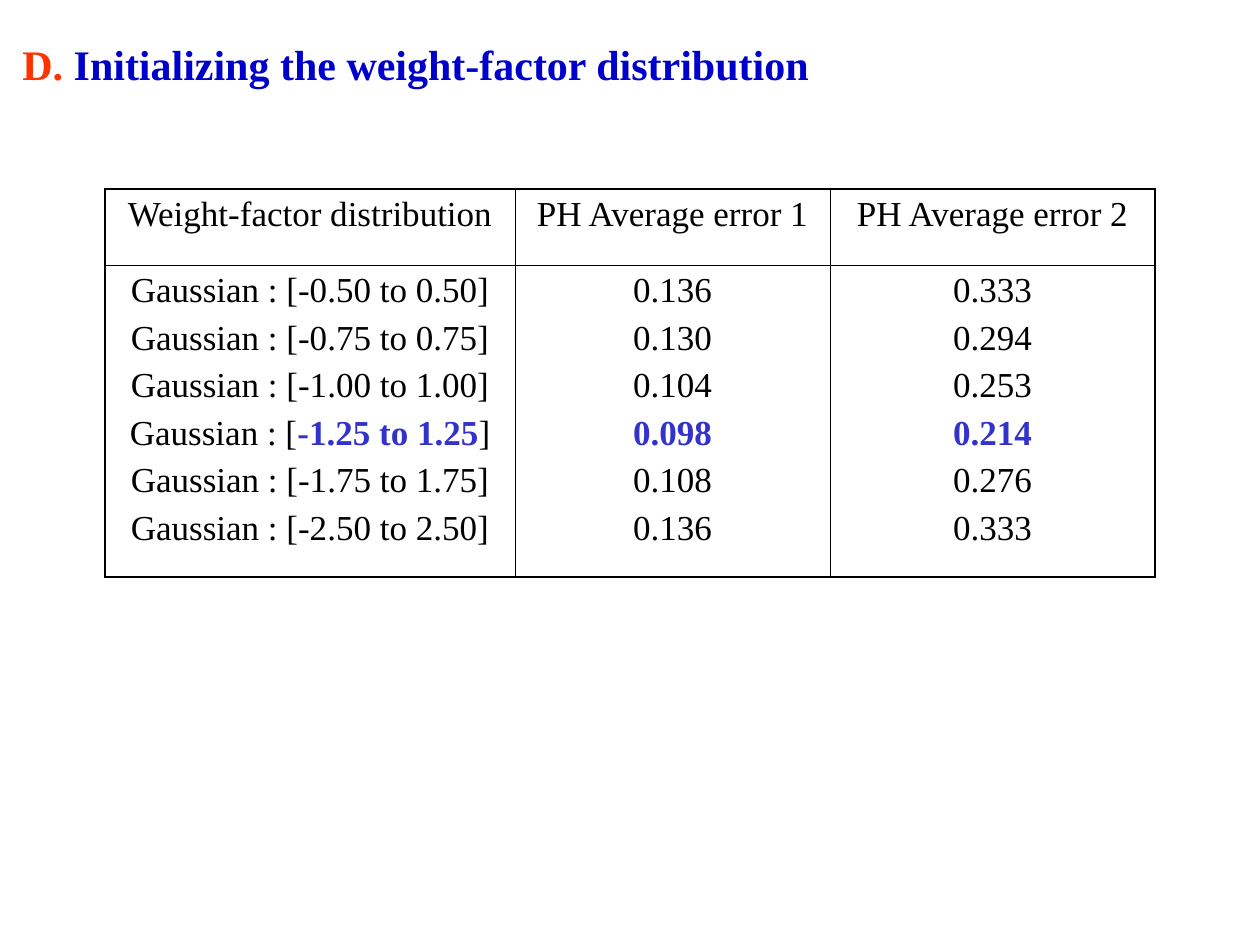
"""Build a slide with a table of errors for each initial weight-factor distribution."""
from dataclasses import dataclass

from lxml import etree
from pptx import Presentation
from pptx import util as u
from pptx.dml.color import RGBColor
from pptx.enum import text
from pptx.oxml import ns


@dataclass(frozen=True)
class Theme:
    font: str = "Times New Roman"
    title_size: int = 24
    body_size: int = 20
    body_gap: int = 5
    letter: str = "FF3300"
    title: str = "0000CC"
    ink: str = "000000"
    best: str = "3333CC"
    outer_line: float = 1.08
    inner_line: float = 0.45


THEME = Theme()
TITLE = [("D.", THEME.letter), (" Initializing the weight-factor distribution", THEME.title)]
HEADERS = ["Weight-factor distribution", "PH Average error 1", "PH Average error 2"]
RESULTS = [
    ("-0.50 to 0.50", "0.136", "0.333"),
    ("-0.75 to 0.75", "0.130", "0.294"),
    ("-1.00 to 1.00", "0.104", "0.253"),
    ("-1.25 to 1.25", "0.098", "0.214"),
    ("-1.75 to 1.75", "0.108", "0.276"),
    ("-2.50 to 2.50", "0.136", "0.333"),
]
BEST = min(RESULTS, key=lambda result: float(result[1]))

SLIDE_SIZE = (1260, 945)
TITLE_BOX = (10, 32, 819, 63)
TABLE_ORIGIN = (105, 189)
COLUMN_WIDTHS = [410, 315, 325]
ROW_HEIGHTS = [76, 312]


def px(length):
    return u.Emu(round(length * 914400 / 126))


def style(font, color, bold=None, size=None):
    font.color.rgb = RGBColor.from_string(color)
    font.bold = bold
    if size:
        font.name, font.size = THEME.font, u.Pt(size)


def add_title(slide):
    frame = slide.shapes.add_textbox(*map(px, TITLE_BOX)).text_frame
    frame.word_wrap = True
    heading = frame.paragraphs[0]
    style(heading.font, THEME.title, True, THEME.title_size)
    for words, color in TITLE:
        run = heading.add_run()
        run.text = words
        style(run.font, color, True)


def fill_cell(cell, lines):
    frame = cell.text_frame
    for index, (parts, is_best) in enumerate(lines):
        line = frame.add_paragraph() if index else frame.paragraphs[0]
        line.alignment = text.PP_ALIGN.CENTER
        line.space_before = u.Pt(THEME.body_gap if index else 0)
        whole = is_best and len(parts) == 1
        style(line.font, THEME.best if whole else THEME.ink, whole, THEME.body_size)
        for position, words in enumerate(parts):
            run = line.add_run()
            run.text = words
            if is_best and position == 1:
                style(run.font, THEME.best, True)


def draw_borders(cell, outer_sides):
    properties = cell._tc.get_or_add_tcPr()
    for side in "LRTB":
        width = THEME.outer_line if side in outer_sides else THEME.inner_line
        border = etree.SubElement(properties, ns.qn(f"a:ln{side}"), w=str(u.Pt(width)))
        fill = etree.SubElement(border, ns.qn("a:solidFill"))
        etree.SubElement(fill, ns.qn("a:srgbClr"), val=THEME.ink)


def result_lines(column):
    for result in RESULTS:
        is_best = result is BEST
        if column:
            parts = [result[column]]
        elif is_best:
            parts = ["Gaussian : [", result[0], "]"]
        else:
            parts = [f"Gaussian : [{result[0]}]"]
        yield parts, is_best


def add_results(slide):
    size = (sum(COLUMN_WIDTHS), sum(ROW_HEIGHTS))
    table = slide.shapes.add_table(
        len(ROW_HEIGHTS), len(COLUMN_WIDTHS), *map(px, TABLE_ORIGIN + size)
    ).table
    table.first_row = table.horz_banding = False
    for row, height in zip(table.rows, ROW_HEIGHTS):
        row.height = px(height)
    for column, (header, width) in enumerate(zip(HEADERS, COLUMN_WIDTHS)):
        table.columns[column].width = px(width)
        contents = [[([header], False)], result_lines(column)]
        edge = {0: "L", len(HEADERS) - 1: "R"}.get(column, "")
        for row, (lines, end) in enumerate(zip(contents, "TB")):
            cell = table.cell(row, column)
            fill_cell(cell, lines)
            draw_borders(cell, edge + end)
            cell.fill.background()


def main():
    deck = Presentation()
    deck.slide_width, deck.slide_height = map(px, SLIDE_SIZE)
    slide = deck.slides.add_slide(deck.slide_layouts[6])
    add_title(slide)
    add_results(slide)
    deck.save("out.pptx")


if __name__ == "__main__":
    main()
